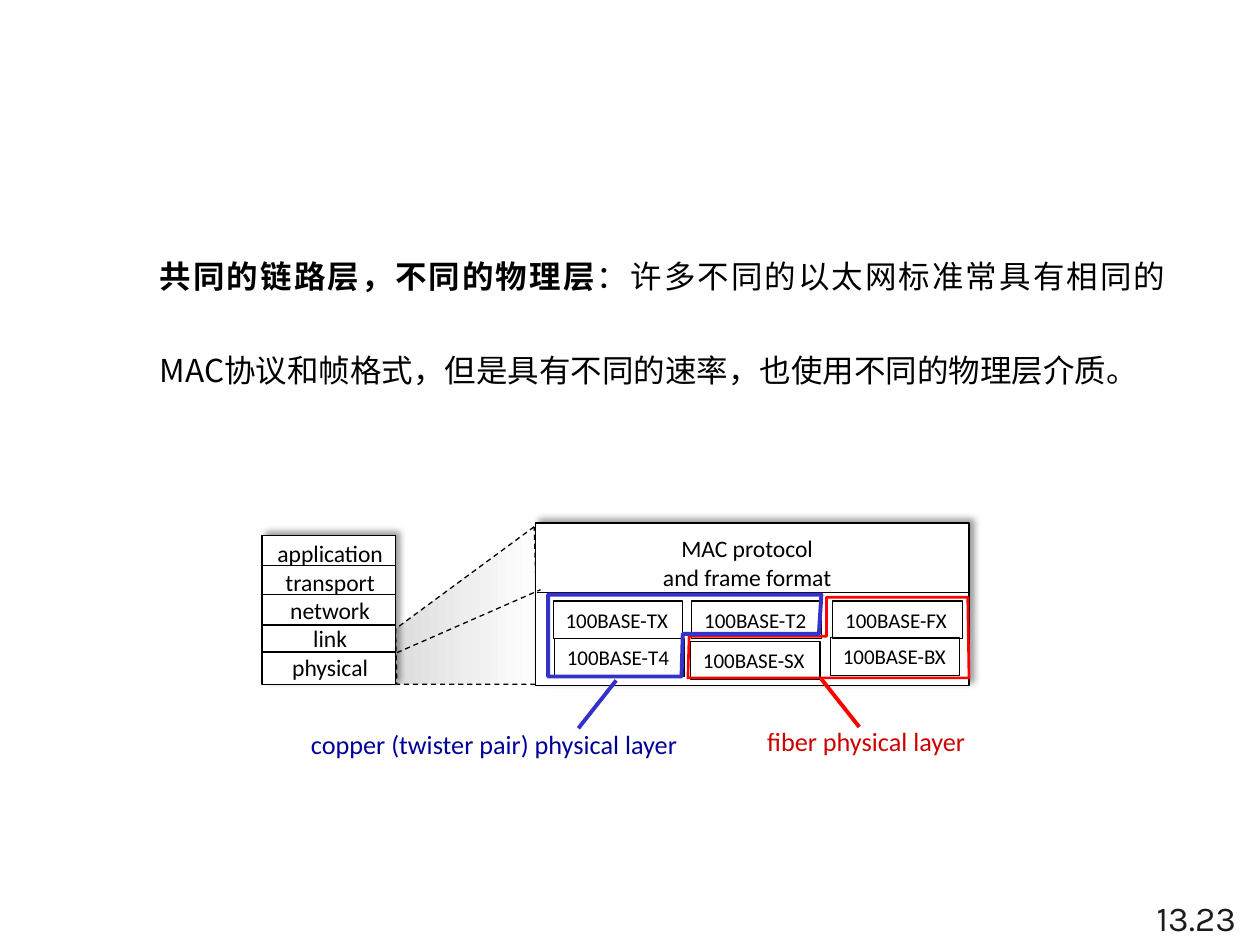
"""Build the Ethernet slide: one link layer above many physical layers."""
from lxml import etree
from pptx import Presentation
from pptx.dml import color
from pptx.enum import dml, shapes, text
from pptx.oxml import ns
from pptx.util import Pt

BLACK, WHITE, RED, BLUE = "000000", "FFFFFF", "FF0000", "3333CC"


def rgb(code):
    return color.RGBColor.from_string(code)


def write(frame, content, lead="", size=12, face="Calibri", ink=BLACK,
          align=text.PP_ALIGN.LEFT, spacing=None, wrap=True,
          anchor=text.MSO_ANCHOR.TOP, grow=True):
    frame.word_wrap = wrap
    frame.vertical_anchor = anchor
    frame.auto_size = (text.MSO_AUTO_SIZE.SHAPE_TO_FIT_TEXT if grow
                       else text.MSO_AUTO_SIZE.NONE)
    for index, line in enumerate(content.split("\n")):
        paragraph = frame.add_paragraph() if index else frame.paragraphs[0]
        paragraph.alignment = align
        if spacing:
            paragraph.line_spacing = spacing
        for words, bold in ((lead, True), (line, False)):
            if words:
                run = paragraph.add_run()
                run.text = words
                run.font.name, run.font.size, run.font.bold = face, Pt(size), bold
                run.font.color.rgb = rgb(ink)
                east = etree.SubElement(run.font._element, ns.qn("a:ea"))
                east.set("typeface", face)


class Diagram:
    """Draws elements in one shared style on the current slide."""

    def __init__(self, slide, hairline=0.75):
        self.slide = slide
        self.hairline = hairline

    def stroke(self, item, ink=BLACK, width=None, dashed=False):
        item.line.color.rgb = rgb(ink)
        item.line.width = Pt(width or self.hairline)
        if dashed:
            item.line.dash_style = dml.MSO_LINE.DASH

    def label(self, box, content, **style):
        area = self.slide.shapes.add_textbox(*map(Pt, box))
        write(area.text_frame, content, **style)

    def box(self, box, content=None, raised=False):
        panel = self.slide.shapes.add_shape(shapes.MSO_SHAPE.RECTANGLE, *map(Pt, box))
        panel.shadow.inherit = False
        self.stroke(panel)
        if raised:
            panel.fill.solid()
            panel.fill.fore_color.rgb = rgb(WHITE)
            self.cast_shadow(panel)
        else:
            panel.fill.background()
        if content:
            write(panel.text_frame, content)

    def cast_shadow(self, panel):
        effects = panel._element.spPr.find(ns.qn("a:effectLst"))
        outer = etree.SubElement(effects, ns.qn("a:outerShdw"), blurRad=str(Pt(4)),
                                 dist=str(Pt(3)), dir="18900000", algn="ctr",
                                 rotWithShape="0")
        tint = etree.SubElement(outer, ns.qn("a:srgbClr"), val=BLACK)
        etree.SubElement(tint, ns.qn("a:alpha"), val="40000")

    def line(self, start, end, **style):
        rule = self.slide.shapes.add_connector(
            shapes.MSO_CONNECTOR.STRAIGHT, *map(Pt, start + end))
        etree.SubElement(rule._element.spPr, ns.qn("a:effectLst"))
        self.stroke(rule, **style)

    def outline(self, points, closed=True, fade=None, **style):
        corners = [(Pt(x), Pt(y)) for x, y in points]
        builder = self.slide.shapes.build_freeform(*corners[0])
        builder.add_line_segments(corners[1:], close=closed)
        region = builder.convert_to_shape()
        region.shadow.inherit = False
        if fade:
            region.fill.gradient()
            region.fill.gradient_angle = 0
            for stop, shade in zip(region.fill.gradient_stops, fade):
                stop.color.rgb = rgb(shade)
        else:
            region.fill.background()
        self.stroke(region, **style)


def main():
    deck = Presentation()
    deck.slide_width, deck.slide_height = Pt(720), Pt(540)
    diagram = Diagram(deck.slides.add_slide(deck.slide_layouts[6]))
    center = text.PP_ALIGN.CENTER

    diagram.label((653.8, 504, 77.8, 36), "13.23", size=20, face="Karla", ink="1C1C1C",
                  anchor=text.MSO_ANCHOR.BOTTOM, grow=False)
    diagram.label((84.2, 110.9, 589, 107.3),
                  "：许多不同的以太网标准常具有相同的MAC协议和帧格式，"
                  "但是具有不同的速率，也使用不同的物理层介质。",
                  lead="共同的链路层，不同的物理层", size=18, face="Noto Sans CJK SC",
                  align=text.PP_ALIGN.JUSTIFY, spacing=2.5)

    diagram.outline([(305.3, 301), (226.1, 359.3), (226.8, 391), (308.2, 391)],
                    fade=("DDDDDD", WHITE), dashed=True)
    diagram.box((149.8, 306, 76.3, 85), raised=True)
    diagram.label((150.5, 304.6, 76.3, 89.3),
                  "application\ntransport\nnetwork\nlink\nphysical",
                  size=13.5, align=center, wrap=False)
    for divider in (323.3, 339.8, 357.1, 372.6):
        diagram.line((149.8, divider), (226.1, divider))

    diagram.box((306, 298.8, 247.7, 92.9), raised=True)
    diagram.line((306.7, 338.4), (553.7, 338.4))
    diagram.label((370.8, 301.7, 112.3, 40.3), "MAC protocol\nand frame format",
                  size=13.5, align=center)
    diagram.outline([(226.8, 373), (308.9, 337)], closed=False, dashed=True)
    for standard, left, top in (("TX", 316.1, 343.4), ("T4", 316.8, 365),
                                ("FX", 475.9, 343.4), ("T2", 395.3, 343.4),
                                ("SX", 394.6, 366.5), ("BX", 474.5, 364.3)):
        diagram.box((left, top, 74, 21.6), f"100BASE-{standard}")

    diagram.outline([(472.3, 341.3), (472.3, 363.6), (393.8, 363.6), (393.1, 387.4),
                     (553.7, 387.4), (553, 341.3)], ink=RED, width=1.5)
    diagram.line((469.4, 388.1), (491, 415.4), ink=RED, width=2.25)
    diagram.label((431.3, 411.1, 128.9, 25.2), "fiber physical layer",
                  size=15, ink="CC0000", wrap=False)
    diagram.outline([(469.4, 339.8), (468, 362.2), (390.2, 362.2), (389.5, 386.6),
                     (313.2, 386.6), (313.2, 339.8)], ink=BLUE, width=2.25)
    diagram.line((352.1, 388.8), (330.5, 416.2), ink=BLUE, width=2.25)
    diagram.label((170.6, 412.6, 229.7, 25.2), "copper (twister pair) physical layer",
                  size=15, ink="000099")
    deck.save("out.pptx")


if __name__ == "__main__":
    main()
